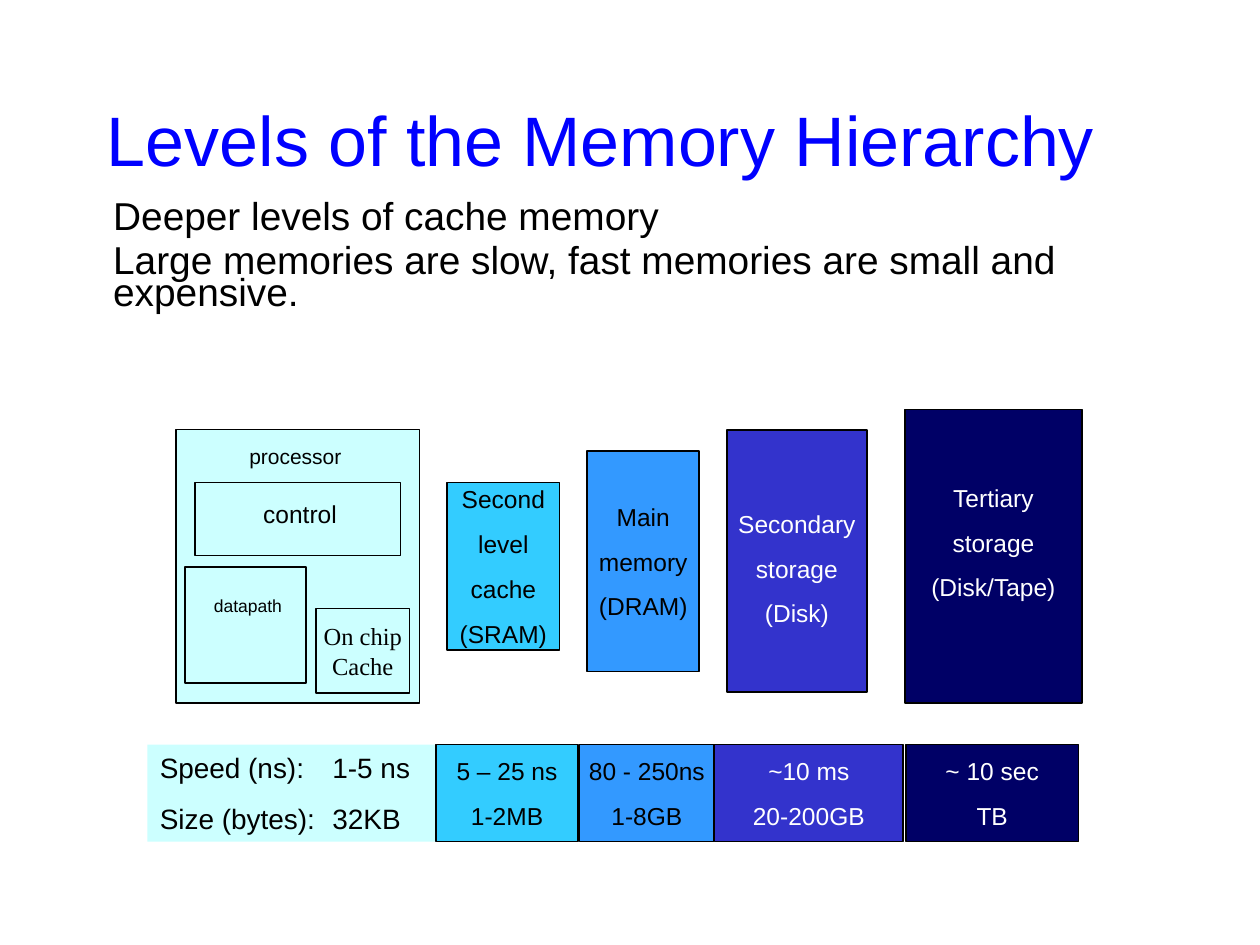
from pptx import Presentation
from pptx.dml.color import RGBColor
from pptx.enum.shapes import MSO_SHAPE as SHAPE
from pptx.enum.text import MSO_ANCHOR as ANCHOR, PP_ALIGN as ALIGN
from pptx.oxml import parse_xml
from pptx.oxml.ns import nsdecls
from pptx.util import Inches, Pt

THEME = {
    "sans": "Arial", "serif": "Times New Roman",
    "title": "0000FF", "dark": "000000", "light": "FFFFFF", "line": "000000",
    "chip": "CCFFFF", "cache": "33CCFF", "main": "3399FF",
    "disk": "3333CC", "tape": "000066",
    "title_pt": 40, "body_pt": 22.2, "row_pt": 16, "label_pt": 14,
    "processor_pt": 12, "datapath_pt": 10,
}

TITLE = ["Levels of the Memory Hierarchy"]
BODY = [
    "Deeper levels of cache memory",
    "Large memories are slow, fast memories are small and expensive.",
]
PROCESSOR_BOXES = [(1.4, 3.41, 1.93, 2.17), (1.55, 3.83, 1.63, 0.58), (1.47, 4.5, 0.96, 0.92)]
CHIP_CACHE = (["On chip", "Cache"], (2.51, 4.83, 0.74, 0.67))
PROCESSOR_LABELS = [
    ("datapath", (1.6, 4.67, 0.74, 0.27), "datapath_pt"),
    ("control", (1.99, 3.91, 0.78, 0.34), "label_pt"),
    ("processor", (1.88, 3.47, 1.05, 0.3), "processor_pt"),
]
LEVELS = [
    {"fill": "cache", "ink": "dark", "box": (3.55, 3.83, 0.89, 1.33), "pad": (0.05, 0.05),
     "name": ["Second", "level", "cache", "(SRAM)"],
     "cell": (3.46, 1.13), "facts": ["5 – 25 ns", "1-2MB"]},
    {"fill": "main", "ink": "dark", "box": (4.66, 3.58, 0.89, 1.75), "pad": (0.05, 0.05),
     "name": ["Main", "memory", "(DRAM)"],
     "cell": (4.6, 1.07), "facts": ["80 - 250ns", "1-8GB"]},
    {"fill": "disk", "ink": "light", "box": (5.77, 3.41, 1.11, 2.08), "pad": (0.17, 0.05),
     "name": ["Secondary", "storage", "(Disk)"],
     "cell": (5.67, 1.5), "facts": ["~10 ms", "20-200GB"]},
    {"fill": "tape", "ink": "light", "box": (7.18, 3.25, 1.41, 2.33), "pad": (0.05, 0.27),
     "name": ["Tertiary", "storage", "(Disk/Tape)"],
     "cell": (7.19, 1.37), "facts": ["~ 10 sec", "TB"]},
]
CHIP_FACTS = ["Speed (ns):\t1-5 ns", "Size (bytes):\t32KB"]
ROW_LEFT, ROW_TOP, ROW_WIDTH, ROW_HEIGHT = 1.17, 5.91, 2.33, 0.77
TAB_STOP = 1.37


def color(key):
    return RGBColor.from_string(THEME[key])


def write(s, lines, size, ink="dark", font="sans", align=ALIGN.LEFT, anchor=ANCHOR.TOP,
          wrap=False, gap=0, spacing=None, pad=(0.05, 0.05), tab=None):
    tf = s.text_frame
    frame = {"word_wrap": wrap, "vertical_anchor": anchor,
             "margin_left": Inches(0.1), "margin_right": Inches(0.1),
             "margin_top": Inches(pad[0]), "margin_bottom": Inches(pad[1])}
    for name, value in frame.items():
        setattr(tf, name, value)
    for i, line in enumerate(lines):
        p = tf.add_paragraph() if i else tf.paragraphs[0]
        layout = {"alignment": align, "space_before": Pt(gap if i else 0), "line_spacing": spacing}
        for name, value in layout.items():
            setattr(p, name, value)
        if tab:
            p._p.get_or_add_pPr().append(parse_xml(
                f'<a:tabLst {nsdecls("a")}><a:tab pos="{Inches(tab)}" algn="l"/></a:tabLst>'))
        r = p.add_run()
        r.text = line
        for name, value in {"name": THEME[font], "size": Pt(THEME[size])}.items():
            setattr(r.font, name, value)
        r.font.color.rgb = color(ink)


def add_box(sp, box, fill, outlined=True):
    s = sp.add_shape(SHAPE.RECTANGLE, *map(Inches, box))
    s.shadow.inherit = False
    s.fill.solid()
    s.fill.fore_color.rgb = color(fill)
    if outlined:
        s.line.color.rgb = color("line")
        s.line.width = Pt(1)
    else:
        s.line.fill.background()
    return s


def main():
    """Build the memory hierarchy slide."""
    prs = Presentation()
    prs.slide_width, prs.slide_height = Inches(10), Inches(7.5)
    sp = prs.slides.add_slide(prs.slide_layouts[6]).shapes
    centered = {"align": ALIGN.CENTER, "anchor": ANCHOR.MIDDLE}

    write(sp.add_textbox(*map(Inches, (0.75, 0.76, 8.5, 0.68))), TITLE, "title_pt",
          ink="title", anchor=ANCHOR.MIDDLE, wrap=True)
    write(sp.add_textbox(*map(Inches, (0.8, 1.54, 8.67, 1))), BODY, "body_pt",
          wrap=True, gap=6.5, spacing=0.7, pad=(0.08, 0.05))

    for box in PROCESSOR_BOXES:
        add_box(sp, box, "chip")
    lines, box = CHIP_CACHE
    write(add_box(sp, box, "chip"), lines, "label_pt", font="serif", **centered)
    for text, box, size in PROCESSOR_LABELS:
        write(add_box(sp, box, "chip", outlined=False), [text], size)

    row = add_box(sp, (ROW_LEFT, ROW_TOP, ROW_WIDTH, ROW_HEIGHT), "chip", outlined=False)
    write(row, CHIP_FACTS, "row_pt", wrap=True, gap=10, tab=TAB_STOP)
    for level in LEVELS:
        left, width = level["cell"]
        cell = (left, ROW_TOP, width, ROW_HEIGHT)
        for box, lines, pad in ((level["box"], level["name"], level["pad"]),
                                (cell, level["facts"], (0.05, 0.05))):
            write(add_box(sp, box, level["fill"]), lines, "label_pt",
                  ink=level["ink"], gap=8.8, pad=pad, **centered)

    prs.save("out.pptx")


if __name__ == "__main__":
    main()
